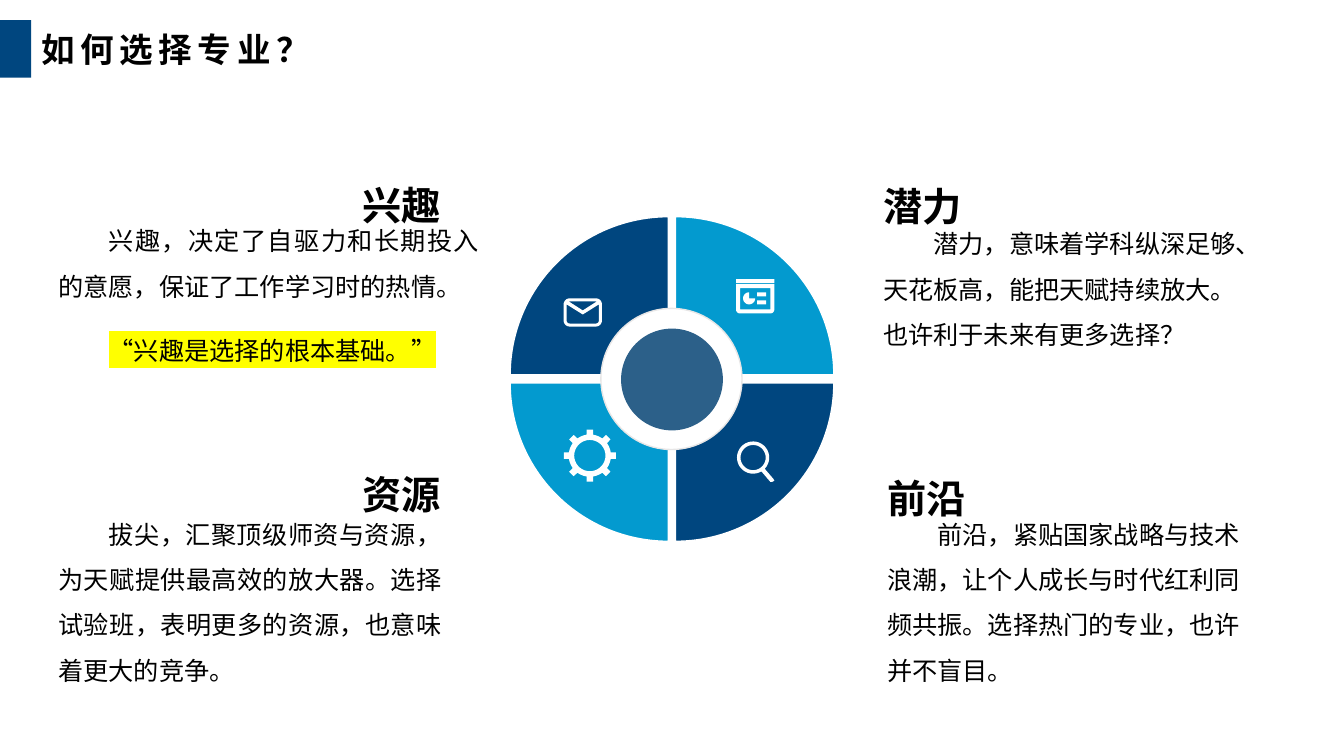
from math import cos, radians, sin

from lxml import etree
from pptx import Presentation
from pptx.dml.color import RGBColor
from pptx.enum.shapes import MSO_SHAPE
from pptx.enum.text import MSO_ANCHOR, PP_ALIGN
from pptx.oxml.ns import qn
from pptx.util import Inches, Pt

WEDGE, OVAL, RECT = MSO_SHAPE.PIE_WEDGE, MSO_SHAPE.OVAL, MSO_SHAPE.RECTANGLE
LEFT, RIGHT, JUSTIFY = PP_ALIGN.LEFT, PP_ALIGN.RIGHT, PP_ALIGN.JUSTIFY
TOP, MIDDLE = MSO_ANCHOR.TOP, MSO_ANCHOR.MIDDLE
NAVY, CYAN, STEEL = "00467F", "039ACF", "2C6089"
WHITE, PALE, BLACK, YELLOW = "FFFFFF", "E7E6E6", "000000", "FFFF00"


def color(value):
    return RGBColor.from_string(value)


def arc(cx, cy, r, start=0, end=360, step=10):
    """Points along an arc, in degrees clockwise from the right."""
    count = max(1, round((end - start) / step))
    angles = [radians(start + (end - start) * i / count) for i in range(count + 1)]
    return [(cx + r * cos(a), cy + r * sin(a)) for a in angles]


def box(left, top, right, bottom):
    return [(left, top), (right, top), (right, bottom), (left, bottom)]


def rounded_box(left, top, right, bottom, r):
    return (arc(right - r, top + r, r, -90, 0) + arc(right - r, bottom - r, r, 0, 90)
            + arc(left + r, bottom - r, r, 90, 180) + arc(left + r, top + r, r, 180, 270))


class SlideDesign:
    font = "Noto Sans CJK SC"

    def __init__(self, slide):
        self.shapes = slide.shapes

    def paint(self, shape, fill, line=None):
        shape.shadow.inherit = False
        shape.fill.solid()
        shape.fill.fore_color.rgb = color(fill)
        if line:
            shape.line.color.rgb = color(line)
            shape.line.width = Pt(1)
        else:
            shape.line.fill.background()

    def shape(self, kind, left, top, width, height, fill, line=None, rotation=0):
        shape = self.shapes.add_shape(
            kind, Inches(left), Inches(top), Inches(width), Inches(height))
        shape.rotation = rotation
        self.paint(shape, fill, line)

    def icon(self, *outlines):
        builder = None
        for outline in outlines:
            points = [(Inches(x), Inches(y)) for x, y in outline]
            if builder is None:
                builder = self.shapes.build_freeform(*points[0], scale=1.0)
            else:
                builder.move_to(*points[0])
            builder.add_line_segments(points[1:], close=True)
        self.paint(builder.convert_to_shape(), WHITE)

    def text(self, left, top, width, height, lines, size, leading, bold=False,
             align=LEFT, anchor=TOP, indent=0, tracking=0, marked=None):
        frame = self.shapes.add_textbox(
            Inches(left), Inches(top), Inches(width), Inches(height)).text_frame
        frame.word_wrap = True
        frame.vertical_anchor = anchor
        for i, line in enumerate(lines):
            paragraph = frame.add_paragraph() if i else frame.paragraphs[0]
            run = paragraph.add_run()
            run.text = line
            paragraph.alignment = align
            paragraph.line_spacing = Pt(leading)
            if i:
                paragraph.space_before = Pt(13.3)
            font = paragraph.font
            font.size, font.bold, font.name = Pt(size), bold, self.font
            font.color.rgb = color(BLACK)
            properties = paragraph._p.get_or_add_pPr()
            properties.set("marL", "0")
            properties.set("indent", str(Inches(indent)))
            # East Asian typeface and letter spacing
            defaults = properties.find(qn("a:defRPr"))
            east_asian = etree.Element(qn("a:ea"), typeface=self.font)
            defaults.find(qn("a:latin")).addnext(east_asian)
            if tracking:
                defaults.set("spc", str(tracking * 100))
            if line == marked:
                highlight = etree.SubElement(run._r.get_or_add_rPr(), qn("a:highlight"))
                etree.SubElement(highlight, qn("a:srgbClr"), val=YELLOW)

    def heading(self, left, top, width, words, align):
        self.text(left, top, width, 0.57, [words], 28, 36, bold=True, align=align)

    def body(self, left, top, width, lines, align, marked=None):
        self.text(left, top, width, 1.06, lines, 18, 32.4, align=align,
                  indent=0.5, marked=marked)


def main():
    prs = Presentation()
    prs.slide_width, prs.slide_height = Inches(13.33), Inches(7.5)
    design = SlideDesign(prs.slides.add_slide(prs.slide_layouts[6]))

    # Wheel: four wedges clockwise from the top left, then the hub
    for quarter, (column, row) in enumerate([(0, 0), (1, 0), (1, 1), (0, 1)]):
        design.shape(WEDGE, 5.06 + 1.64 * column, 2.15 + 1.65 * row, 1.57, 1.57,
                     CYAN if quarter % 2 else NAVY, WHITE, rotation=90 * quarter)
    design.shape(OVAL, 5.96, 3.06, 1.4, 1.4, WHITE, PALE)
    design.shape(OVAL, 6.16, 3.26, 1.01, 1.01, STEEL)

    # Chart window icon
    design.icon(
        box(7.3, 2.77, 7.68, 2.81),
        [(7.3, 2.82), (7.68, 2.82)] + arc(7.64, 3.07, 0.04, 0, 90)
        + arc(7.34, 3.07, 0.04, 90, 180),
        box(7.34, 2.86, 7.64, 3.07),
        arc(7.43, 2.96, 0.06, 0, 270) + [(7.43, 2.96)],
        box(7.51, 2.9, 7.6, 2.94),
        box(7.51, 2.98, 7.6, 3.02))

    # Magnifier icon
    design.icon(
        arc(7.47, 4.54, 0.16, 59, 404)
        + [(7.67, 4.75), (7.68, 4.77), (7.66, 4.78), (7.64, 4.78)],
        arc(7.47, 4.54, 0.125))

    # Envelope icon
    design.icon(
        rounded_box(5.59, 2.96, 5.97, 3.24, 0.06),
        [(5.64, 2.99), (5.92, 2.99), (5.78, 3.08)],
        [(5.94, 3.02)] + arc(5.91, 3.18, 0.03, 0, 90)
        + arc(5.65, 3.18, 0.03, 90, 180) + [(5.62, 3.02), (5.78, 3.12)])

    # Gear icon: eight teeth around a ring
    gear = (5.85, 4.52)
    teeth = []
    for angle in range(0, 360, 45):
        teeth += arc(*gear, 0.26, angle - 7, angle + 7, step=14)
        teeth += arc(*gear, 0.21, angle + 9, angle + 36)
    design.icon(teeth, arc(*gear, 0.155))

    # Four criteria
    quote = "“兴趣是选择的根本基础。”"
    design.body(0.48, 2.04, 4.37,
                ["兴趣，决定了自驱力和长期投入的意愿，保证了工作学习时的热情。", quote],
                JUSTIFY, marked=quote)
    design.heading(0.43, 1.72, 4.04, "兴趣", RIGHT)
    design.body(0.48, 4.95, 4,
                ["拔尖，汇聚顶级师资与资源，为天赋提供最高效的放大器。"
                 "选择试验班，表明更多的资源，也意味着更大的竞争。"], JUSTIFY)
    design.heading(0.43, 4.58, 4.04, "资源", RIGHT)
    design.body(8.66, 2.07, 3.77,
                ["潜力，意味着学科纵深足够、天花板高，能把天赋持续放大。"
                 "也许利于未来有更多选择？"], LEFT)
    design.heading(8.66, 1.73, 3.81, "潜力", LEFT)
    design.body(8.7, 4.95, 3.77,
                ["前沿，紧贴国家战略与技术浪潮，让个人成长与时代红利同频共振。"
                 "选择热门的专业，也许并不盲目。"], LEFT)
    design.heading(8.7, 4.62, 3.81, "前沿", LEFT)

    # Title bar
    design.text(0.31, 0.2, 13.02, 0.57, ["如何选择专业？"], 24, 28.8,
                bold=True, anchor=MIDDLE, tracking=4)
    design.shape(RECT, 0, 0.2, 0.31, 0.57, NAVY)

    prs.save("out.pptx")


if __name__ == "__main__":
    main()
